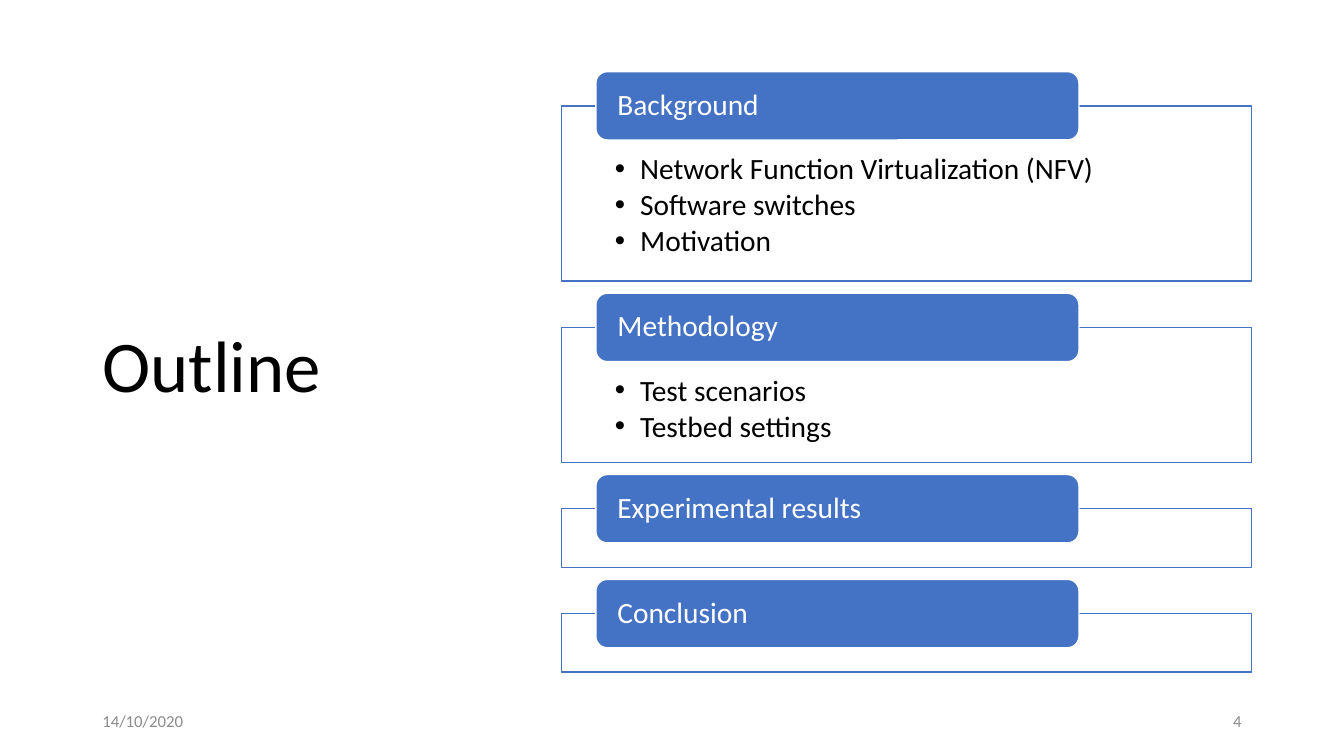
from dataclasses import dataclass

import pptx
import pptx.dml.color
import pptx.enum.shapes
import pptx.enum.text
import pptx.oxml
import pptx.oxml.ns
import pptx.util

Pt = pptx.util.Pt
RGB = pptx.dml.color.RGBColor.from_string
ALIGN = pptx.enum.text.PP_ALIGN
ANCHOR = pptx.enum.text.MSO_ANCHOR
SHAPE = pptx.enum.shapes.MSO_SHAPE


@dataclass(frozen=True)
class Theme:
    font: str = "Calibri"
    accent: str = "4472C4"
    light: str = "FFFFFF"
    dark: str = "000000"
    muted: str = "8C8C8C"
    title_size: float = 52
    body_size: float = 21
    footer_size: float = 12


THEME = Theme()

# Heading, bullet points and frame height of each section
SECTIONS = [
    ("Background", ["Network Function Virtualization (NFV)", "Software switches", "Motivation"], 125.2),
    ("Methodology", ["Test scenarios", "Testbed settings"], 96.4),
    ("Experimental results", [], 41.8),
    ("Conclusion", [], 41.8),
]


def write(frame, lines, size, color, align=ALIGN.LEFT, anchor=ANCHOR.MIDDLE,
          insets=(7.2, 3.6, 7.2, 3.6), spacing=1.0, after=0, bullets=False):
    """Fill a text frame; insets run left, top, right, bottom."""
    frame.word_wrap = True
    frame.auto_size = pptx.enum.text.MSO_AUTO_SIZE.NONE
    frame.vertical_anchor = anchor
    frame.margin_left, frame.margin_top, frame.margin_right, frame.margin_bottom = map(Pt, insets)
    for index, line in enumerate(lines):
        paragraph = frame.add_paragraph() if index else frame.paragraphs[0]
        paragraph.alignment = align
        paragraph.line_spacing = spacing
        paragraph.space_before = Pt(0)
        paragraph.space_after = Pt(after)
        run = paragraph.add_run()
        run.text = line
        run.font.name = THEME.font
        run.font.size = Pt(size)
        run.font.color.rgb = RGB(color)
        if bullets:
            add_bullet(paragraph)


def add_bullet(paragraph):
    paragraph.level = 1
    properties = paragraph._p.get_or_add_pPr()
    properties.set("marL", str(Pt(18)))
    properties.set("indent", str(Pt(-18)))
    namespace = pptx.oxml.ns.nsdecls("a")
    properties.append(pptx.oxml.parse_xml(f'<a:buFont {namespace} typeface="Arial"/>'))
    properties.append(pptx.oxml.parse_xml(f'<a:buChar {namespace} char="•"/>'))


def add_panel(slide, kind, box, fill, line):
    panel = slide.shapes.add_shape(kind, *map(Pt, box))
    panel.shadow.inherit = False
    panel.fill.solid()
    panel.fill.fore_color.rgb = RGB(fill)
    panel.line.color.rgb = RGB(line)
    panel.line.width = Pt(1)
    return panel


def add_title(slide, box, text):
    title = slide.shapes.title
    title.left, title.top, title.width, title.height = map(Pt, box)
    write(title.text_frame, [text], THEME.title_size, THEME.dark, spacing=0.9)


def add_section(slide, box, heading, points):
    """Draw a framed list with a heading tab across its top edge."""
    left, top, width, height = box
    frame = add_panel(slide, SHAPE.RECTANGLE, box, THEME.light, THEME.accent)
    color = frame.fill._xPr.find(".//" + pptx.oxml.ns.qn("a:srgbClr"))
    color.append(pptx.oxml.parse_xml(f'<a:alpha {pptx.oxml.ns.nsdecls("a")} val="90000"/>'))
    if points:
        write(frame.text_frame, points, THEME.body_size, THEME.dark, anchor=ANCHOR.TOP,
              insets=(38.3, 34.5, 38.3, 11.5), spacing=0.9, after=3, bullets=True)

    tab_height = 48.8
    tab_box = (left + width * 0.05, top - tab_height / 2, width * 0.7, tab_height)
    tab = add_panel(slide, SHAPE.ROUNDED_RECTANGLE, tab_box, THEME.accent, THEME.light)
    write(tab.text_frame, [heading], THEME.body_size, THEME.light,
          insets=(13, 0, 13, 0), spacing=0.9)


def add_outline(slide, left, top, width, gap=33.1):
    """Stack the sections with equal gaps between their frames."""
    for heading, points, height in SECTIONS:
        add_section(slide, (left, top, width, height), heading, points)
        top += height + gap


def add_footer(slide, box, date, number):
    left, top, width, height = box
    part_width = 216
    for text, x, align in ((date, left, ALIGN.LEFT),
                           (number, left + width - part_width, ALIGN.RIGHT)):
        part = slide.shapes.add_textbox(Pt(x), Pt(top), Pt(part_width), Pt(height))
        write(part.text_frame, [text], THEME.footer_size, THEME.muted, align=align, after=6)


def main():
    deck = pptx.Presentation()
    deck.slide_width, deck.slide_height = Pt(960), Pt(540)
    slide = deck.slides.add_slide(deck.slide_layouts[5])
    add_title(slide, (66, 44, 266, 438.5), "Outline")
    add_footer(slide, (66, 500.5, 828, 28.8), "14/10/2020", "4")
    add_outline(slide, left=401, top=75.6, width=493)
    deck.save("out.pptx")


if __name__ == "__main__":
    main()
